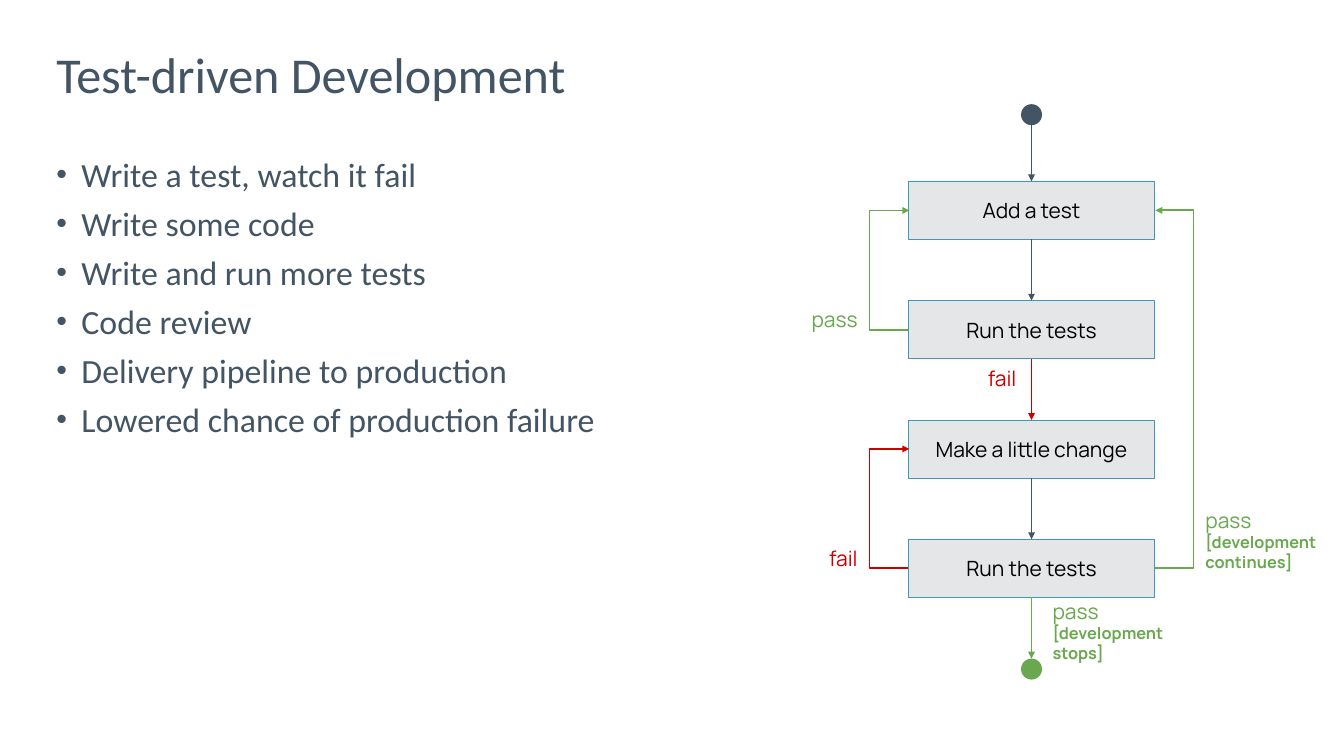
"""Build the test-driven development slide with its flow diagram."""
from dataclasses import dataclass

from lxml.etree import SubElement
from pptx import Presentation
from pptx.dml.color import RGBColor
from pptx.enum.shapes import MSO_CONNECTOR, MSO_SHAPE
from pptx.enum.text import MSO_ANCHOR, MSO_AUTO_SIZE, PP_ALIGN
from pptx.oxml.ns import qn
from pptx.util import Inches, Pt


@dataclass(frozen=True)
class Theme:
    slate: str = "435464"
    green: str = "6AA84F"
    red: str = "CC0000"
    box_fill: str = "E4E6E7"
    box_line: str = "4197B5"
    black: str = "000000"
    text_font: str = "Calibri"
    diagram_font: str = "Manrope"
    title_size: int = 43
    body_size: int = 29
    step_size: int = 18
    note_size: int = 14


@dataclass(frozen=True)
class Arrow:
    start: float
    end: float
    color: str


@dataclass(frozen=True)
class Loop:
    source: int
    target: int
    side: int
    color: str


@dataclass(frozen=True)
class Label:
    lines: tuple[str, ...]
    left: float
    top: float
    width: float
    height: float
    color: str
    align: PP_ALIGN = PP_ALIGN.RIGHT


THEME = Theme()
CENTER, BOX_W, BOX_H = 12.28, 2.93, 0.69
FIRST_TOP, PITCH = 2.16, 1.42
DOT, START_TOP, STOP_TOP = 0.25, 1.24, 7.84
REACH, LOOP_W = 0.47, 0.01
INSET = 0.18

BULLETS = (
    "Write a test, watch it fail",
    "Write some code",
    "Write and run more tests",
    "Code review",
    "Delivery pipeline to production",
    "Lowered chance of production failure",
)
STEPS = ("Add a test", "Run the tests", "Make a little change", "Run the tests")
TOPS = [FIRST_TOP + PITCH * i for i in range(len(STEPS))]
ARROWS = (
    Arrow(START_TOP + DOT, TOPS[0], THEME.slate),
    Arrow(TOPS[0] + BOX_H, TOPS[1], THEME.slate),
    Arrow(TOPS[1] + BOX_H, TOPS[2], THEME.red),
    Arrow(TOPS[2] + BOX_H, TOPS[3], THEME.slate),
    Arrow(TOPS[3] + BOX_H, STOP_TOP, THEME.green),
)
LOOPS = (
    Loop(1, 0, -1, THEME.green),
    Loop(3, 2, -1, THEME.red),
    Loop(3, 0, 1, THEME.green),
)
LABELS = (
    Label(("pass", "[development continues]"), 14.17, 6.08, 1.99, 0.68, THEME.green, PP_ALIGN.LEFT),
    Label(("fail",), 9.47, 6.52, 0.92, 0.25, THEME.red),
    Label(("fail",), 11.36, 4.37, 0.92, 0.25, THEME.red),
    Label(("pass",), 9.47, 3.67, 0.92, 0.25, THEME.green),
    Label(("pass", "[development stops]"), 12.35, 7.38, 2.25, 0.25, THEME.green, PP_ALIGN.LEFT),
)


def style(p, font: str, size: float, color: str, bold: bool = False) -> None:
    """Format every run of a paragraph."""
    for r in p.runs:
        r.font.name = font
        r.font.size = Pt(size)
        r.font.bold = bold
        r.font.color.rgb = RGBColor.from_string(color)


def set_frame(tf, inset: float, anchor: MSO_ANCHOR) -> None:
    """Set wrapping, insets and anchor of a text frame."""
    tf.word_wrap = True
    tf.auto_size = MSO_AUTO_SIZE.NONE
    tf.vertical_anchor = anchor
    tf.margin_left = tf.margin_right = tf.margin_top = tf.margin_bottom = Inches(inset)


def add_title(s, text: str) -> None:
    """Place and format the title placeholder."""
    sp = s.shapes.title
    sp.left, sp.top, sp.width, sp.height = map(Inches, (0.67, 0.6, 14.67, 0.67))
    tf = sp.text_frame
    tf.text = text
    set_frame(tf, 0, MSO_ANCHOR.TOP)
    p = tf.paragraphs[0]
    p.alignment = PP_ALIGN.LEFT
    p.line_spacing = 0.9
    style(p, THEME.text_font, THEME.title_size, THEME.slate)


def add_bullets(s, items: tuple[str, ...]) -> None:
    """Add the bulleted list."""
    tf = s.shapes.add_textbox(*map(Inches, (0.67, 1.83, 14.66, 5.26))).text_frame
    tf.text = "\n".join(items)
    set_frame(tf, 0, MSO_ANCHOR.TOP)
    for p in tf.paragraphs:
        p.space_before = Pt(7.2)
        style(p, THEME.text_font, THEME.body_size, THEME.slate)
        pPr = p._p.get_or_add_pPr()
        pPr.set("marL", str(Inches(0.3)))
        pPr.set("indent", str(Inches(-0.3)))
        SubElement(pPr, qn("a:buSzPct"), val="90000")
        SubElement(pPr, qn("a:buFont"), typeface="Arial")
        SubElement(pPr, qn("a:buChar"), char="•")


def add_step(s, text: str, top: float) -> None:
    """Add one step box."""
    sp = s.shapes.add_shape(
        MSO_SHAPE.RECTANGLE, *map(Inches, (CENTER - BOX_W / 2, top, BOX_W, BOX_H)))
    sp.shadow.inherit = False
    sp.fill.solid()
    sp.fill.fore_color.rgb = RGBColor.from_string(THEME.box_fill)
    sp.line.color.rgb = RGBColor.from_string(THEME.box_line)
    sp.line.width = Pt(0.75)
    tf = sp.text_frame
    tf.text = text
    set_frame(tf, INSET, MSO_ANCHOR.MIDDLE)
    tf.paragraphs[0].alignment = PP_ALIGN.CENTER
    style(tf.paragraphs[0], THEME.diagram_font, THEME.step_size, THEME.black)


def add_dot(s, top: float, color: str) -> None:
    """Add a start or stop dot."""
    sp = s.shapes.add_shape(MSO_SHAPE.OVAL, *map(Inches, (CENTER - DOT / 2, top, DOT, DOT)))
    sp.shadow.inherit = False
    sp.fill.solid()
    sp.fill.fore_color.rgb = RGBColor.from_string(color)
    sp.line.fill.background()


def add_connector(s, kind: MSO_CONNECTOR, ends: tuple[float, ...], color: str):
    """Add a connector with an arrowhead at its end."""
    cxn = s.shapes.add_connector(kind, *map(Inches, ends))
    cxn.line.color.rgb = RGBColor.from_string(color)
    cxn.line.width = Pt(1.5)
    SubElement(cxn.line._get_or_add_ln(), qn("a:tailEnd"), type="triangle")
    SubElement(cxn._element.spPr, qn("a:effectLst"))
    return cxn


def add_loop(s, loop: Loop) -> None:
    """Add an elbow arrow that leaves and re-enters on one side."""
    edge = CENTER + loop.side * BOX_W / 2
    start, end = (TOPS[i] + BOX_H / 2 for i in (loop.source, loop.target))
    cxn = add_connector(s, MSO_CONNECTOR.ELBOW, (edge, start, edge + LOOP_W, end), loop.color)
    cxn._element.spPr.prstGeom.get_or_add_avLst()
    bend = round(loop.side * REACH / LOOP_W * 100000)
    SubElement(cxn._element.spPr.prstGeom.avLst, qn("a:gd"), name="adj1", fmla=f"val {bend}")


def add_label(s, label: Label) -> None:
    """Add an outcome label with an optional bold note."""
    box = (label.left, label.top, label.width, label.height)
    tf = s.shapes.add_textbox(*map(Inches, box)).text_frame
    tf.text = "\n".join(label.lines)
    set_frame(tf, INSET, MSO_ANCHOR.MIDDLE)
    for i, p in enumerate(tf.paragraphs):
        p.alignment = label.align
        size = THEME.note_size if i else THEME.step_size
        style(p, THEME.diagram_font, size, label.color, bold=i > 0)


def main() -> None:
    """Build and save the slide."""
    prs = Presentation()
    prs.slide_width, prs.slide_height = Inches(16), Inches(9)
    s = prs.slides.add_slide(prs.slide_layouts[5])
    add_title(s, "Test-driven Development")
    add_bullets(s, BULLETS)
    for text, top in zip(STEPS, TOPS):
        add_step(s, text, top)
    for a in ARROWS:
        add_connector(s, MSO_CONNECTOR.STRAIGHT, (CENTER, a.start, CENTER, a.end), a.color)
    for loop in LOOPS:
        add_loop(s, loop)
    add_dot(s, START_TOP, THEME.slate)
    add_dot(s, STOP_TOP, THEME.green)
    for label in LABELS:
        add_label(s, label)
    prs.save("out.pptx")


if __name__ == "__main__":
    main()
